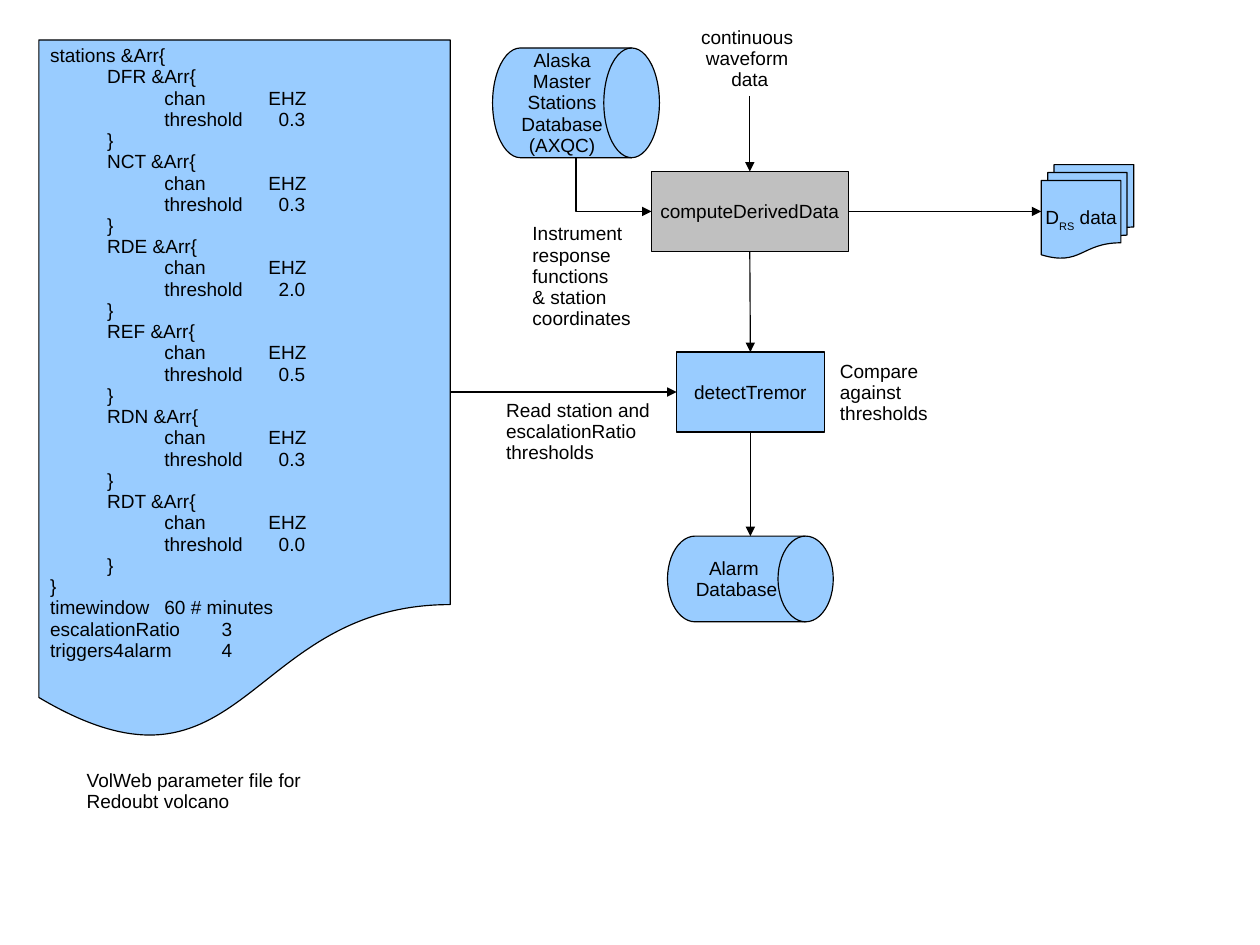
import pptx
import pptx.dml.color
import pptx.enum.shapes
import pptx.enum.text
import pptx.oxml
import pptx.oxml.ns
import pptx.util
from pptx.util import Inches

SHAPE = pptx.enum.shapes.MSO_SHAPE
CONNECTOR = pptx.enum.shapes.MSO_CONNECTOR
ANCHOR = pptx.enum.text.MSO_ANCHOR
ALIGN = pptx.enum.text.PP_ALIGN
qn = pptx.oxml.ns.qn

CM_PER_INCH = 2.54
BLACK, BLUE, GRAY = "000000", "99CCFF", "C0C0C0"
TOP, LEFT, BOTTOM, RIGHT = range(4)
TAB_STOPS = [0.5, 1, 1.5, 2, 2.5, 3, 3.5]
CHANNEL_STOPS = [0.5, 1, 1.91]
STATIONS = [("DFR", 0.3), ("NCT", 0.3), ("RDE", 2.0),
            ("REF", 0.5), ("RDN", 0.3), ("RDT", 0.0)]


def color(hex_string):
    return pptx.dml.color.RGBColor.from_string(hex_string)


def sub_element(parent, tag, **attributes):
    element = parent.makeelement(qn(tag), attributes)
    parent.append(element)
    return element


def add_paragraph(tf, text, align=ALIGN.LEFT, tabs=(), subscript=None):
    """Fill the first empty paragraph, or append one; subscript names the lowered part."""
    p = tf.paragraphs[0]
    if p.runs:
        p = tf.add_paragraph()
    p.alignment = align
    p.line_spacing = 0.93
    if tabs:
        tab_list = sub_element(p._p.get_or_add_pPr(), "a:tabLst")
        for stop in tabs:
            sub_element(tab_list, "a:tab", pos=str(int(Inches(stop))), algn="l")
    for part in text.partition(subscript) if subscript else [text]:
        r = p.add_run()
        r.text = part
        r.font.name = "Arial"
        r.font.size = pptx.util.Pt(12)
        r.font.color.rgb = color(BLACK)
        if part == subscript:
            r.font._element.set("baseline", "-33000")


def set_frame(tf, anchor, wrap, top=0.06):
    tf.word_wrap = wrap
    tf.vertical_anchor = anchor
    tf.margin_left = tf.margin_right = Inches(0.1)
    tf.margin_top, tf.margin_bottom = Inches(top), Inches(0.05)


def add_block(slide, kind, box, fill=BLUE):
    sp = slide.shapes.add_shape(kind, *map(Inches, box))
    sp.shadow.inherit = False
    sp.fill.solid()
    sp.fill.fore_color.rgb = color(fill)
    sp.line.color.rgb = color(BLACK)
    sp.line.width = pptx.util.Pt(0.75)
    return sp


def add_node(slide, kind, box, text, fill=BLUE, subscript=None):
    sp = add_block(slide, kind, box, fill)
    set_frame(sp.text_frame, ANCHOR.MIDDLE, wrap=False)
    for line in text.split("\n"):
        add_paragraph(sp.text_frame, line, align=ALIGN.CENTER, subscript=subscript)
    return sp


def add_label(slide, box, text, align=ALIGN.LEFT):
    sp = slide.shapes.add_textbox(*map(Inches, box))
    set_frame(sp.text_frame, ANCHOR.TOP, wrap=True)
    for line in text.split("\n"):
        add_paragraph(sp.text_frame, line, align=align)
    return sp


def add_arrow(slide, source, source_side, target, target_side, kind=CONNECTOR.STRAIGHT):
    c = slide.shapes.add_connector(kind, 0, 0, 0, 0)
    c.begin_connect(source, source_side)
    c.end_connect(target, target_side)
    c.line.color.rgb = color(BLACK)
    c.line.width = pptx.util.Pt(0.75)
    sub_element(c.line._get_or_add_ln(), "a:tailEnd", type="triangle")
    sub_element(c._element.spPr, "a:effectLst")
    return c


def add_corner_arrow(slide, source, target):
    """Run down from the source, then right into the target, with one bend."""
    c = add_arrow(slide, source, BOTTOM, target, LEFT, CONNECTOR.ELBOW)
    x, y, w, h = c.left, c.top, c.width, c.height
    c.left, c.top = x + (w - h) // 2, y + (h - w) // 2
    c.width, c.height = h, w
    spPr = c._element.spPr
    xfrm = spPr.find(qn("a:xfrm"))
    xfrm.set("rot", "16200000")
    xfrm.set("flipH", "1")
    spPr.find(qn("a:prstGeom")).set("prst", "bentConnector2")


def add_parameter_file(slide):
    sp = add_block(slide, SHAPE.FLOWCHART_DOCUMENT, (0.34, 0.35, 3.6, 6.16))
    tf = sp.text_frame
    set_frame(tf, ANCHOR.TOP, wrap=True, top=0.05)
    add_paragraph(tf, "stations &Arr{")
    for station, threshold in STATIONS:
        add_paragraph(tf, f"\t{station} &Arr{{", tabs=TAB_STOPS)
        add_paragraph(tf, "\t\tchan\tEHZ", tabs=CHANNEL_STOPS)
        add_paragraph(tf, f"\t\tthreshold\t{threshold}", tabs=TAB_STOPS)
        add_paragraph(tf, "\t}", tabs=TAB_STOPS)
    for line in ("}", "timewindow\t60 # minutes", "escalationRatio\t3", "triggers4alarm\t4"):
        add_paragraph(tf, line, tabs=TAB_STOPS)
    return sp


def main():
    prs = pptx.Presentation()
    prs.slide_width = Inches(28 / CM_PER_INCH)
    prs.slide_height = Inches(21 / CM_PER_INCH)
    slide = prs.slides.add_slide(prs.slide_layouts[6])

    drum = SHAPE.FLOWCHART_DIRECT_ACCESS_STORAGE
    process = SHAPE.FLOWCHART_PROCESS
    detect = add_node(slide, process, (5.92, 3.08, 1.29, 0.7), "detectTremor")
    derived = add_node(slide, SHAPE.FLOWCHART_MULTIDOCUMENT, (9.11, 1.44, 0.81, 0.82),
                       "DRS data", subscript="RS")
    compute = add_node(slide, process, (5.7, 1.5, 1.72, 0.7), "computeDerivedData", GRAY)
    alarm = add_node(slide, drum, (5.84, 4.69, 1.45, 0.75), "Alarm \nDatabase")
    waveform = add_label(slide, (4.87, 0.18, 3.38, 0.66),
                         "continuous \nwaveform \ndata", ALIGN.CENTER)
    parameters = add_parameter_file(slide)
    add_label(slide, (0.66, 6.68, 2.5, 0.54), "VolWeb parameter file for Redoubt volcano")
    stations = add_node(slide, drum, (4.31, 0.42, 1.46, 0.96),
                        "Alaska\nMaster\nStations\nDatabase\n(AXQC)")
    add_label(slide, (4.56, 1.9, 1.12, 1.04),
              "Instrument\nresponse\nfunctions\n& station\ncoordinates")
    add_label(slide, (7.25, 3.1, 1.05, 0.67), "Compare\nagainst\nthresholds")
    add_label(slide, (4.33, 3.44, 1.73, 0.86), "Read station and escalationRatio thresholds")

    add_arrow(slide, waveform, BOTTOM, compute, TOP)
    add_arrow(slide, compute, RIGHT, derived, LEFT)
    add_arrow(slide, compute, BOTTOM, detect, TOP)
    add_arrow(slide, parameters, RIGHT, detect, LEFT)
    add_arrow(slide, detect, BOTTOM, alarm, TOP)
    add_corner_arrow(slide, stations, compute)

    prs.save("out.pptx")


if __name__ == "__main__":
    main()
